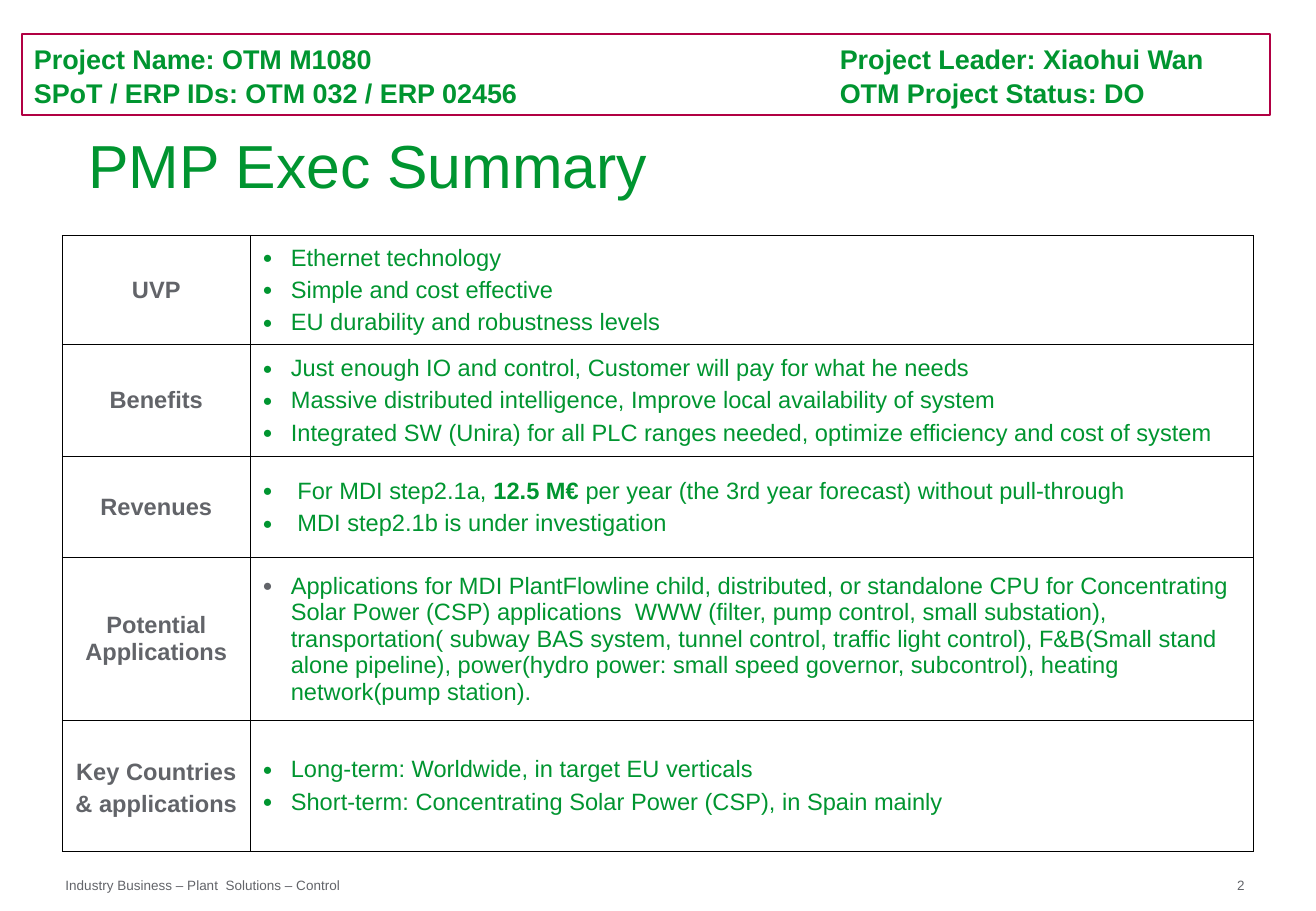
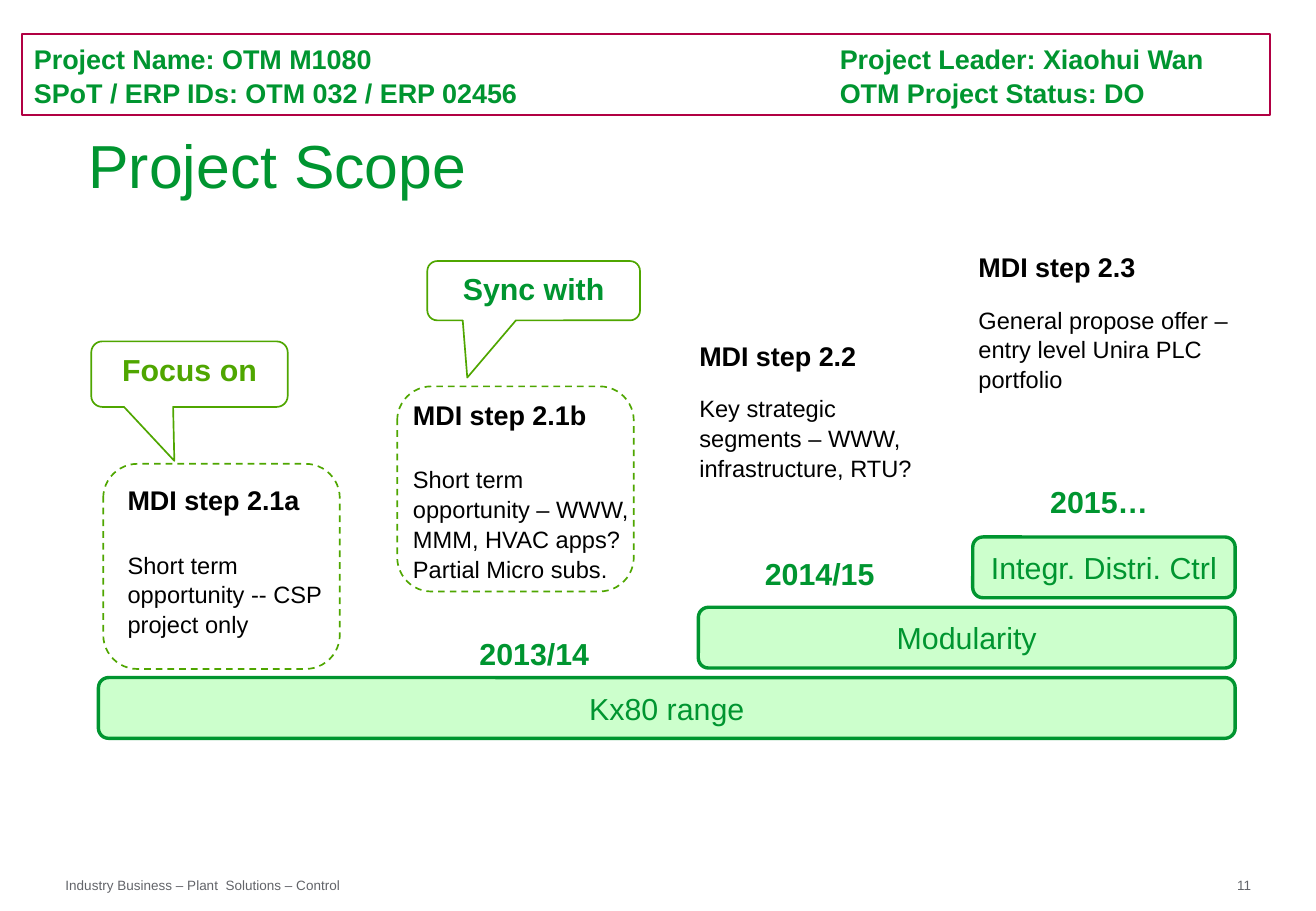
import pptx
import pptx.dml.color
import pptx.enum.dml
import pptx.enum.shapes
import pptx.enum.text
import pptx.oxml
import pptx.oxml.ns
import pptx.util

Cm = pptx.util.Cm
Pt = pptx.util.Pt
ALIGN = pptx.enum.text.PP_ALIGN
ANCHOR = pptx.enum.text.MSO_ANCHOR
SHAPE = pptx.enum.shapes.MSO_SHAPE

FONT = "Arial"
GREEN = "009530"
LEAF = "4FA600"
MINT = "CCFFCC"
CRIMSON = "B10043"
GRAY = "626469"
BLACK = "000000"

SLIDE_SIZE = (27.53, 19.05)
TITLE_BOX = (1.85, 2.53, 23, 1.8)
HEADER_BOX = (0.46, 0.71, 26.11, 1.7)
LEADER_BOX = (17.32, 0.71, 10.16, 1.63)
FOOTER_BOX = (1.37, 18.34, 5.77, 0.33)
NUMBER_BOX = (25.88, 18.34, 0.86, 0.2)
PROJECT = ["Project Name: OTM M1080", "SPoT / ERP IDs: OTM 032 / ERP 02456"]
LEADER = ["Project Leader: Xiaohui Wan", "OTM Project Status: DO"]
FOOTER = "Industry Business – Plant  Solutions – Control"

TABLE_CORNER = (1.3, 4.93)
COLUMN_WIDTHS = (3.94, 20.98)
SUMMARY = [
    {"label": "UVP", "height": 2.03, "points": [
        ["Ethernet technology"],
        ["Simple and cost effective"],
        ["EU durability and robustness levels"]]},
    {"label": "Benefits", "height": 2.34, "points": [
        ["Just enough IO and control, Customer will pay for what he needs"],
        ["Massive distributed intelligence, Improve local availability of system"],
        ["Integrated SW (Unira) for all PLC ranges needed, optimize efficiency and cost of system"]]},
    {"label": "Revenues", "height": 2.11, "points": [
        [" For MDI step2.1a, ", "12.5 M€", " per year (the 3rd year forecast) without pull-through"],
        [" MDI step2.1b is under investigation"]]},
    {"label": "Potential Applications", "height": 3.4, "bullet": GRAY, "points": [
        ["Applications for MDI PlantFlowline child, distributed, or standalone CPU for "
         "Concentrating Solar Power (CSP) applications  WWW (filter, pump control, small "
         "substation), transportation( subway BAS system, tunnel control, traffic light "
         "control), F&B(Small stand alone pipeline), power(hydro power: small speed governor, "
         "subcontrol), heating network(pump station)."]]},
    {"label": "Key Countries & applications", "height": 2.74, "spacing": 1.2, "points": [
        ["Long-term: Worldwide, in target EU verticals"],
        ["Short-term: Concentrating Solar Power (CSP), in Spain mainly"]]},
]

STEPS = [
    ((2.67, 10.16, 4.83, 3.12), 19.5,
     ["MDI step 2.1a", "Short term opportunity -- CSP project only"]),
    ((8.64, 8.38, 4.83, 3.73), 19.5,
     ["MDI step 2.1b", "Short term opportunity – WWW, MMM, HVAC apps?", "Partial Micro subs."]),
    ((14.63, 7.14, 4.83, 2.87), 12.5,
     ["MDI step 2.2", "Key strategic segments – WWW, infrastructure, RTU?"]),
    ((20.47, 5.28, 5.38, 2.87), 12.5,
     ["MDI step 2.3", "General propose offer – entry level Unira PLC portfolio"]),
]
YEARS = [("2013/14", 9.78, 13.16), ("2014/15", 15.75, 11.48), ("2015…", 21.72, 9.98)]
YEAR_SIZE = (3.9, 1.02)
BARS = [("Kx80 range", 2.06), ("Modularity", 14.61), ("Integr. Distri. Ctrl", 20.35)]
BAR_RIGHT, BAR_TOP, BAR_HEIGHT, BAR_STEP = 25.84, 14.17, 1.27, 1.47
CALLOUTS = [
    ("Focus on", (1.91, 7.14, 4.11, 1.37), (-0.077, 1.324, 0.167), LEAF),
    ("Sync with", (8.94, 5.46, 4.45, 1.24), (-0.312, 1.465, 0.167), GREEN),
]
FRAME_CORNERS = [(2.16, 9.7), (8.31, 8.08)]
FRAME_SIZE = (4.95, 4.29)


def color(value):
    return pptx.dml.color.RGBColor.from_string(value)


def lengths(box):
    return [Cm(value) for value in box]


def style(paragraph, size, ink, bold=False, align=ALIGN.LEFT, spacing=1.0):
    paragraph.alignment = align
    paragraph.line_spacing = spacing
    for run in paragraph.runs:
        run.font.name = FONT
        run.font.size = Pt(size)
        run.font.bold = bold
        run.font.color.rgb = color(ink)


def write(shape, lines, size, ink, anchor=ANCHOR.TOP, margins=(0.25, 0.13), **options):
    frame = shape.text_frame
    frame.text = "\n".join(lines)
    frame.word_wrap = True
    frame.vertical_anchor = anchor
    frame.margin_left = frame.margin_right = Cm(margins[0])
    frame.margin_top = frame.margin_bottom = Cm(margins[1])
    for paragraph in frame.paragraphs:
        style(paragraph, size, ink, **options)


def add_text(slide, box, lines, size, ink, **options):
    shape = slide.shapes.add_textbox(*lengths(box))
    write(shape, lines, size, ink, **options)
    return shape


def add_outline(slide, kind, box, line, width=1, fill=None):
    shape = slide.shapes.add_shape(kind, *lengths(box))
    shape.shadow.inherit = False
    shape.line.color.rgb = color(line)
    shape.line.width = Pt(width)
    if fill:
        shape.fill.solid()
        shape.fill.fore_color.rgb = color(fill)
    else:
        shape.fill.background()
    return shape


def add_project_slide(presentation, title, number):
    slide = presentation.slides.add_slide(presentation.slide_layouts[5])
    add_text(slide, NUMBER_BOX, [number], 8, GRAY, margins=(0, 0))
    add_text(slide, FOOTER_BOX, [FOOTER], 8, GRAY, margins=(0, 0))
    header = add_outline(slide, SHAPE.RECTANGLE, HEADER_BOX, CRIMSON)
    write(header, PROJECT, 16, GREEN, anchor=ANCHOR.MIDDLE, bold=True, spacing=1.06)
    add_text(slide, LEADER_BOX, LEADER, 16, GREEN, bold=True, spacing=1.06)
    heading = slide.shapes.title
    heading.left, heading.top, heading.width, heading.height = lengths(TITLE_BOX)
    write(heading, [title], 36, GREEN, anchor=ANCHOR.MIDDLE, margins=(0, 0.03))
    return slide


def add_element(parent, xml):
    namespace = pptx.oxml.ns.nsdecls("a")
    parent.append(pptx.oxml.parse_xml(xml.replace("/>", f" {namespace}/>", 1)
                                      if xml.endswith("/>") and xml.count("<") == 1
                                      else xml.replace(">", f" {namespace}>", 1)))


def format_cell(cell):
    cell.vertical_anchor = ANCHOR.MIDDLE
    properties = cell._tc.get_or_add_tcPr()
    for side in ("lnL", "lnR", "lnT", "lnB"):
        add_element(properties, f'<a:{side} w="5715"><a:solidFill><a:srgbClr val="{BLACK}"/>'
                                f'</a:solidFill></a:{side}>')
    cell.fill.background()


def add_bullet(paragraph, ink):
    properties = paragraph._p.get_or_add_pPr()
    properties.set("marL", str(Cm(0.59)))
    properties.set("indent", str(-Cm(0.59)))
    add_element(properties, f'<a:buClr><a:srgbClr val="{ink}"/></a:buClr>')
    add_element(properties, '<a:buSzPct val="70000"/>')
    add_element(properties, f'<a:buFont typeface="{FONT}"/>')
    add_element(properties, '<a:buChar char="●"/>')


def fill_points(cell, points, bullet):
    frame = cell.text_frame
    for index, parts in enumerate(points):
        paragraph = frame.add_paragraph() if index else frame.paragraphs[0]
        add_bullet(paragraph, bullet)
        for part in parts:
            paragraph.add_run().text = part
        style(paragraph, 14, GREEN)
        for run in paragraph.runs[1::2]:
            run.font.bold = True
        if index:
            paragraph.space_before = Pt(3.5)


def build_summary(presentation):
    slide = add_project_slide(presentation, "PMP Exec Summary", "2")
    size = (sum(COLUMN_WIDTHS), sum(row["height"] for row in SUMMARY))
    table = slide.shapes.add_table(len(SUMMARY), 2, *lengths(TABLE_CORNER + size)).table
    table.first_row = table.horz_banding = False
    for column, width in zip(table.columns, COLUMN_WIDTHS):
        column.width = Cm(width)
    for index, row in enumerate(SUMMARY):
        table.rows[index].height = Cm(row["height"])
        label, detail = table.rows[index].cells
        format_cell(label)
        format_cell(detail)
        label.text_frame.text = row["label"]
        style(label.text_frame.paragraphs[0], 14, GRAY, bold=True, align=ALIGN.CENTER,
              spacing=row.get("spacing", 1.0))
        fill_points(detail, row["points"], row.get("bullet", GREEN))


def build_scope(presentation):
    slide = add_project_slide(presentation, "Project Scope", "11")
    for box, gap, lines in STEPS:
        step = add_text(slide, box, lines, 14, BLACK, anchor=ANCHOR.MIDDLE,
                        margins=(0, 0), spacing=1.05)
        heading, detail = step.text_frame.paragraphs[:2]
        style(heading, 16, BLACK, bold=True, spacing=1.05)
        detail.space_before = Pt(gap)
    for year, left, top in YEARS:
        add_text(slide, (left, top) + YEAR_SIZE, [year], 18, GREEN, bold=True)
    for level, (name, left) in enumerate(BARS):
        box = (left, BAR_TOP - level * BAR_STEP, BAR_RIGHT - left, BAR_HEIGHT)
        bar = add_outline(slide, SHAPE.ROUNDED_RECTANGLE, box, GREEN, 2, MINT)
        write(bar, [name], 18, GREEN, anchor=ANCHOR.MIDDLE, align=ALIGN.CENTER)
    for label, box, adjustments, ink in CALLOUTS:
        callout = add_outline(slide, SHAPE.ROUNDED_RECTANGULAR_CALLOUT, box, LEAF)
        for index, value in enumerate(adjustments):
            callout.adjustments[index] = value
        write(callout, [label], 18, ink, bold=True, align=ALIGN.CENTER)
    for corner in FRAME_CORNERS:
        frame = add_outline(slide, SHAPE.ROUNDED_RECTANGLE, corner + FRAME_SIZE, LEAF)
        frame.line.dash_style = pptx.enum.dml.MSO_LINE.DASH


def main():
    presentation = pptx.Presentation()
    presentation.slide_width, presentation.slide_height = lengths(SLIDE_SIZE)
    build_summary(presentation)
    build_scope(presentation)
    presentation.save("out.pptx")


if __name__ == "__main__":
    main()
